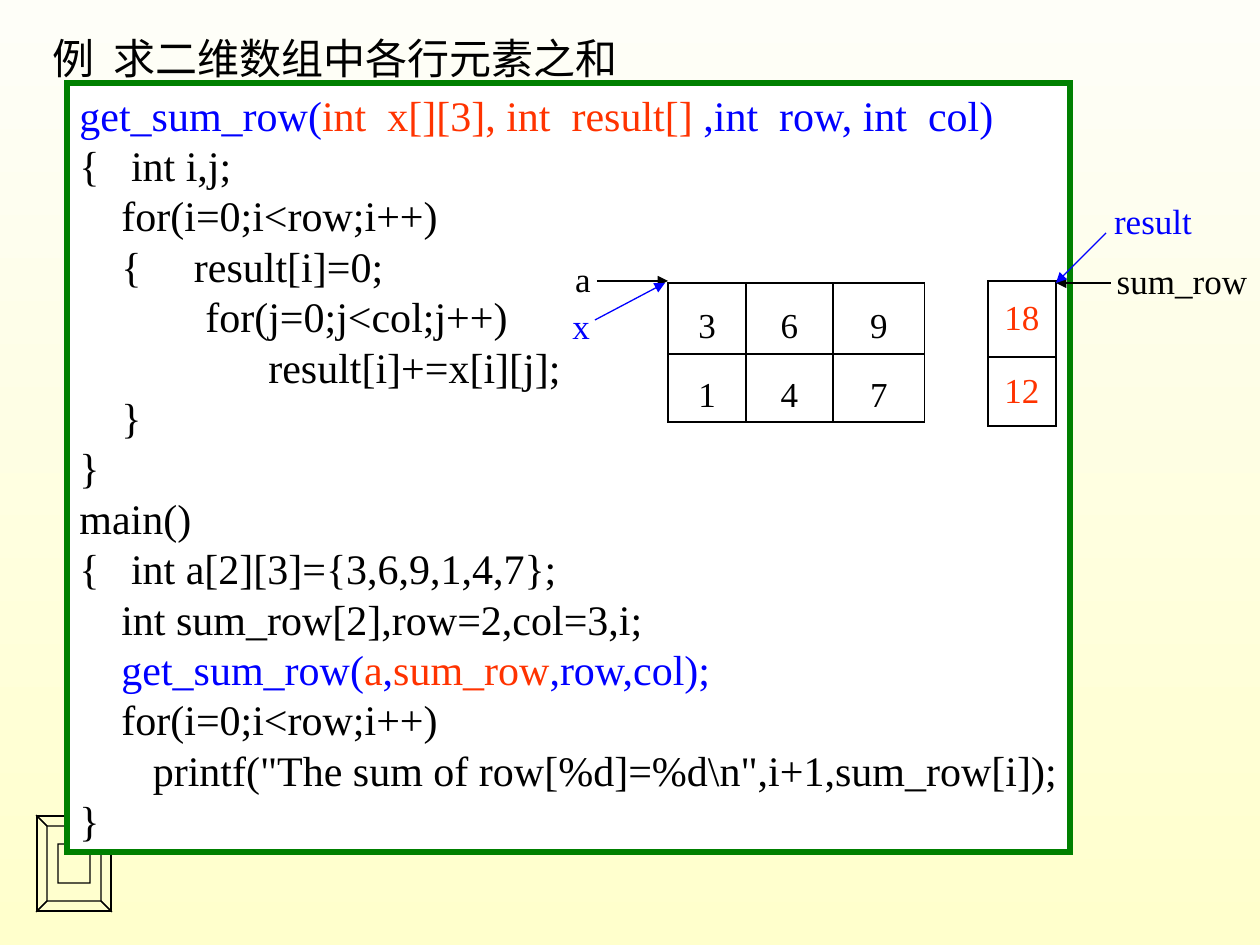
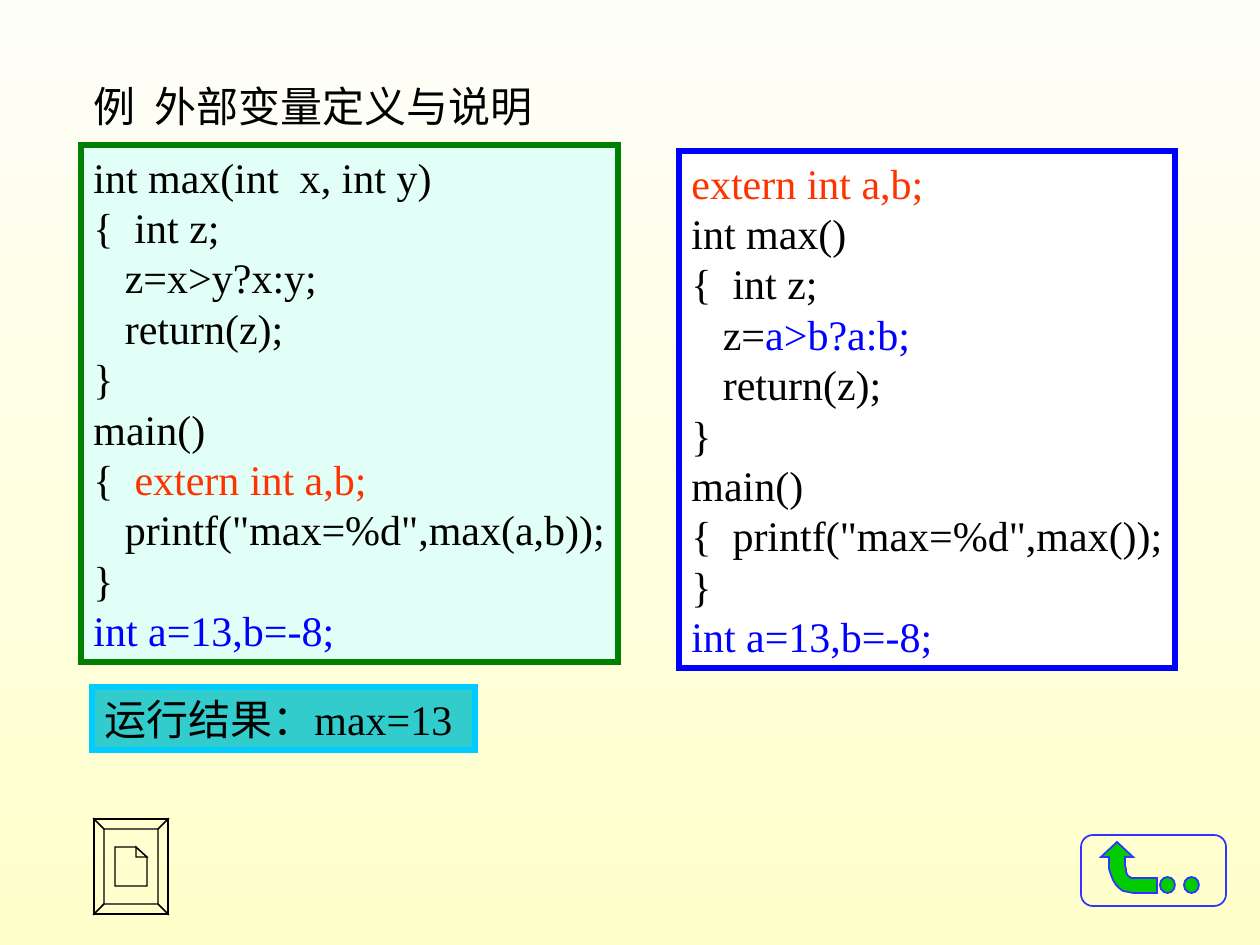
from pptx import Presentation
from pptx.dml.color import RGBColor
from pptx.enum.shapes import MSO_CONNECTOR, MSO_SHAPE
from pptx.enum.text import MSO_ANCHOR, MSO_AUTO_SIZE, PP_ALIGN
from pptx.oxml.ns import qn
from pptx.util import Emu, Pt
from lxml.etree import SubElement

SCALE = 914400 / 126
FONT = "Times New Roman"
CODE_SIZE, LABEL_SIZE = 24, 20
CODE_TAB, TITLE_TAB = 126, 61

BLACK = RGBColor(0x00, 0x00, 0x00)
WHITE = RGBColor(0xFF, 0xFF, 0xFF)
BLUE = RGBColor(0x00, 0x00, 0xFF)
RED = RGBColor(0xFF, 0x33, 0x00)
GREEN = RGBColor(0x00, 0x80, 0x00)
MINT = RGBColor(0xE1, 0xFF, 0xF7)
TEAL = RGBColor(0x33, 0xCC, 0xCC)
SKY = RGBColor(0x00, 0xCC, 0xFF)
BUTTON_GREEN = RGBColor(0x00, 0xCC, 0x00)
BUTTON_BLUE = RGBColor(0x33, 0x33, 0xFF)
PAPER_TOP = RGBColor(0xFE, 0xFE, 0xF8)
PAPER_BOTTOM = RGBColor(0xFF, 0xFF, 0xCC)

# A code line is a string, or a list of (text, colour) pieces.
SUM_ROW_CODE = [
    [("get_sum_row(", BLUE), ("int  x[][3], int  result[]", RED),
     (" ,int  row, int  col)", BLUE)],
    "{   int i,j;",
    "    for(i=0;i<row;i++)",
    "    {     result[i]=0;",
    "\tfor(j=0;j<col;j++)",
    "\t      result[i]+=x[i][j];",
    "    }",
    "}",
    "main()",
    "{   int a[2][3]={3,6,9,1,4,7};",
    "    int sum_row[2],row=2,col=3,i;",
    [("    ", BLACK), ("get_sum_row(", BLUE), ("a", RED), (",", BLUE),
     ("sum_row", RED), (",row,col);", BLUE)],
    "    for(i=0;i<row;i++)",
    "       printf(\"The sum of row[%d]=%d\\n\",i+1,sum_row[i]);",
    "}",
]
EXTERN_IN_MAIN_CODE = [
    "int max(int  x, int y)",
    "{  int z;",
    "   z=x>y?x:y;",
    "   return(z);",
    "}",
    "main()",
    [("{  ", BLACK), ("extern int a,b;", RED)],
    "   printf(\"max=%d\",max(a,b));",
    "}",
    [("int a=13,b=-8;", BLUE)],
]
EXTERN_AT_TOP_CODE = [
    [("extern int a,b;", RED)],
    "int max()",
    "{  int z;",
    [("   z=", BLACK), ("a>b?a:b;", BLUE)],
    "   return(z);",
    "}",
    "main()",
    "{  printf(\"max=%d\",max());",
    "}",
    [("int a=13,b=-8;", BLUE)],
]


def px(length):
    return Emu(round(length * SCALE))


def box(*lengths):
    return [px(length) for length in lengths]


def style_run(run, size, colour):
    run.font.name = FONT
    run.font.size = Pt(size)
    run.font.color.rgb = colour


def add_tab_stop(paragraph, position):
    tab_list = SubElement(paragraph._p.get_or_add_pPr(), qn("a:tabLst"))
    SubElement(tab_list, qn("a:tab"), pos=str(px(position)), algn="l")


def style_shape(shape, fill, line, width):
    shape.shadow.inherit = False
    if fill is None:
        shape.fill.background()
    else:
        shape.fill.solid()
        shape.fill.fore_color.rgb = fill
    shape.line.color.rgb = line
    shape.line.width = Pt(width)
    SubElement(shape.line._get_or_add_ln(), qn("a:miter"), lim="800000")


def fit_to_text(text_frame):
    text_frame.word_wrap = False
    text_frame.auto_size = MSO_AUTO_SIZE.SHAPE_TO_FIT_TEXT
    text_frame.vertical_anchor = MSO_ANCHOR.TOP


def add_preset(slide, preset, bounds, fill, line, width):
    shape = slide.shapes.add_shape(preset, *box(*bounds))
    style_shape(shape, fill, line, width)
    return shape


def add_slide(presentation):
    slide = presentation.slides.add_slide(presentation.slide_layouts[6])
    fill = slide.background.fill
    fill.gradient()
    fill.gradient_angle = 270
    for stop, colour in zip(fill.gradient_stops, (PAPER_TOP, PAPER_BOTTOM)):
        stop.color.rgb = colour
    return slide


def add_title(slide, text, left, top, width):
    text_frame = slide.shapes.add_textbox(*box(left, top, width, 63)).text_frame
    fit_to_text(text_frame)
    paragraph = text_frame.paragraphs[0]
    add_tab_stop(paragraph, TITLE_TAB)
    paragraph.text = text
    style_run(paragraph.runs[0], CODE_SIZE, BLACK)


def add_panel(slide, lines, bounds, fill, border):
    """Framed box of 24-point text, one paragraph for each line."""
    shape = add_preset(slide, MSO_SHAPE.RECTANGLE, bounds, fill, border, 3)
    text_frame = shape.text_frame
    fit_to_text(text_frame)
    for index, line in enumerate(lines):
        paragraph = text_frame.add_paragraph() if index else text_frame.paragraphs[0]
        paragraph.alignment = PP_ALIGN.LEFT
        add_tab_stop(paragraph, CODE_TAB)
        pieces = [(line, BLACK)] if isinstance(line, str) else line
        for text, colour in pieces:
            run = paragraph.add_run()
            run.text = text
            style_run(run, CODE_SIZE, colour)


def add_label(slide, text, left, top, width, colour):
    """One-line label whose box has no side margins, so it never wraps."""
    text_frame = slide.shapes.add_textbox(*box(left, top, width, 55)).text_frame
    text_frame.word_wrap = False
    text_frame.auto_size = MSO_AUTO_SIZE.NONE
    text_frame.vertical_anchor = MSO_ANCHOR.MIDDLE
    text_frame.margin_left = text_frame.margin_right = 0
    text_frame.text = text
    paragraph = text_frame.paragraphs[0]
    paragraph.alignment = PP_ALIGN.CENTER
    style_run(paragraph.runs[0], LABEL_SIZE, colour)


def add_arrow(slide, start, end, colour):
    arrow = slide.shapes.add_connector(MSO_CONNECTOR.STRAIGHT, *box(*start, *end))
    arrow.line.color.rgb = colour
    arrow.line.width = Pt(0.75)
    SubElement(arrow.line._get_or_add_ln(), qn("a:tailEnd"), type="triangle")
    SubElement(arrow._element.spPr, qn("a:effectLst"))


def add_cell_borders(cell):
    properties = cell._tc.get_or_add_tcPr()
    for side in ("lnL", "lnR", "lnT", "lnB"):
        border = SubElement(properties, qn(f"a:{side}"), w=str(Pt(0.75)))
        fill = SubElement(border, qn("a:solidFill"))
        SubElement(fill, qn("a:srgbClr"), val=str(BLACK))


def add_array(slide, values, left, top, widths, heights, colour, text_drop=0):
    """Grid of array elements; text_drop lowers the numbers in their cells."""
    table = slide.shapes.add_table(
        len(heights), len(widths),
        *box(left, top, sum(widths), sum(heights))).table
    table.first_row = table.horz_banding = False
    for column, width in zip(table.columns, widths):
        column.width = px(width)
    for row, height, numbers in zip(table.rows, heights, values):
        row.height = px(height)
        for cell, number in zip(row.cells, numbers):
            add_cell_borders(cell)
            cell.fill.solid()
            cell.fill.fore_color.rgb = WHITE
            cell.vertical_anchor = MSO_ANCHOR.MIDDLE
            cell.margin_top, cell.margin_bottom = px(2 * text_drop), 0
            cell.text = str(number)
            paragraph = cell.text_frame.paragraphs[0]
            paragraph.alignment = PP_ALIGN.CENTER
            style_run(paragraph.runs[0], LABEL_SIZE, colour)


def add_outline(slide, contours, fill, line, width):
    builder = slide.shapes.build_freeform(*contours[0][0], scale=SCALE)
    for index, contour in enumerate(contours):
        if index:
            builder.move_to(*contour[0])
        builder.add_line_segments(contour[1:], close=True)
    style_shape(builder.convert_to_shape(), fill, line, width)


def add_document_button(slide, left, top):
    def corners(inset):
        right, bottom = left + 74 - inset, top + 95 - inset
        return [(left + inset, top + inset), (right, top + inset),
                (right, bottom), (left + inset, bottom)]

    outer, inner = corners(0), corners(10)
    bevels = [[outer[i], outer[(i + 1) % 4], inner[(i + 1) % 4], inner[i]]
              for i in range(4)]
    page_left, page_top = left + 21, top + 28
    fold, edge = page_left + 21, page_left + 32
    page = [(page_left, page_top), (fold, page_top), (edge, page_top + 10),
            (edge, page_top + 39), (page_left, page_top + 39)]
    corner = [(fold, page_top), (edge, page_top + 10), (fold, page_top + 10)]
    add_outline(slide, [outer, *bevels, page, corner], None, BLACK, 0.75)


def curve(points, steps=8):
    """Points along a cubic Bezier curve."""
    start, first, second, end = points
    result = []
    for step in range(steps + 1):
        t = step / steps
        u = 1 - t
        result.append(tuple(
            u**3 * a + 3 * u * u * t * b + 3 * u * t * t * c + t**3 * d
            for a, b, c, d in zip(start, first, second, end)))
    return result


def add_return_button(slide):
    add_preset(slide, MSO_SHAPE.ROUNDED_RECTANGLE, (1081, 835, 145, 71),
               None, BUTTON_BLUE, 1)
    outer_bend = curve([(1133, 893), (1119, 893), (1109, 881), (1109, 863)])
    inner_bend = curve([(1125, 863), (1125, 872), (1128, 878), (1133, 878)])
    head = [(1109, 857), (1101, 857), (1117, 842), (1133, 857), (1125, 857)]
    arrow = [(1157, 893), *outer_bend, *head, *inner_bend, (1157, 878)]
    add_outline(slide, [arrow], BUTTON_GREEN, BUTTON_BLUE, 1)
    for left in (1160, 1184):
        add_preset(slide, MSO_SHAPE.OVAL, (left, 877, 15, 16),
                   BUTTON_GREEN, BUTTON_BLUE, 1)


def build_row_sum_slide(presentation):
    slide = add_slide(presentation)
    add_document_button(slide, 37, 816)
    add_title(slide, "例\t求二维数组中各行元素之和", 40, 26, 590)
    add_panel(slide, SUM_ROW_CODE, (67, 83, 1003, 769), WHITE, GREEN)
    add_array(slide, [(3, 6, 9), (1, 4, 7)], 668, 283, (78, 87, 92), (71, 68),
              BLACK, text_drop=8)
    add_array(slide, [(18,), (12,)], 988, 281, (68,), (76, 69), RED)
    add_arrow(slide, (597, 281), (668, 281), BLACK)
    add_arrow(slide, (1111, 283), (1056, 283), BLACK)
    add_arrow(slide, (595, 320), (665, 283), BLUE)
    add_arrow(slide, (1106, 233), (1056, 283), BLUE)
    add_label(slide, "a", 574, 251, 18, BLACK)
    add_label(slide, "sum_row", 1115, 253, 134, BLACK)
    add_label(slide, "x", 571, 298, 20, BLUE)
    add_label(slide, "result", 1113, 193, 80, BLUE)


def build_extern_slide(presentation):
    slide = add_slide(presentation)
    add_document_button(slide, 94, 819)
    add_title(slide, "例\t外部变量定义与说明", 81, 74, 464)
    add_panel(slide, EXTERN_IN_MAIN_CODE, (81, 145, 537, 517), MINT, GREEN)
    add_panel(slide, ["运行结果：max=13"], (92, 687, 383, 63), TEAL, SKY)
    add_return_button(slide)
    add_panel(slide, EXTERN_AT_TOP_CODE, (679, 151, 496, 517), WHITE, BLUE)


def main():
    presentation = Presentation()
    presentation.slide_width, presentation.slide_height = px(1260), px(945)
    build_row_sum_slide(presentation)
    build_extern_slide(presentation)
    presentation.save("out.pptx")


if __name__ == "__main__":
    main()
